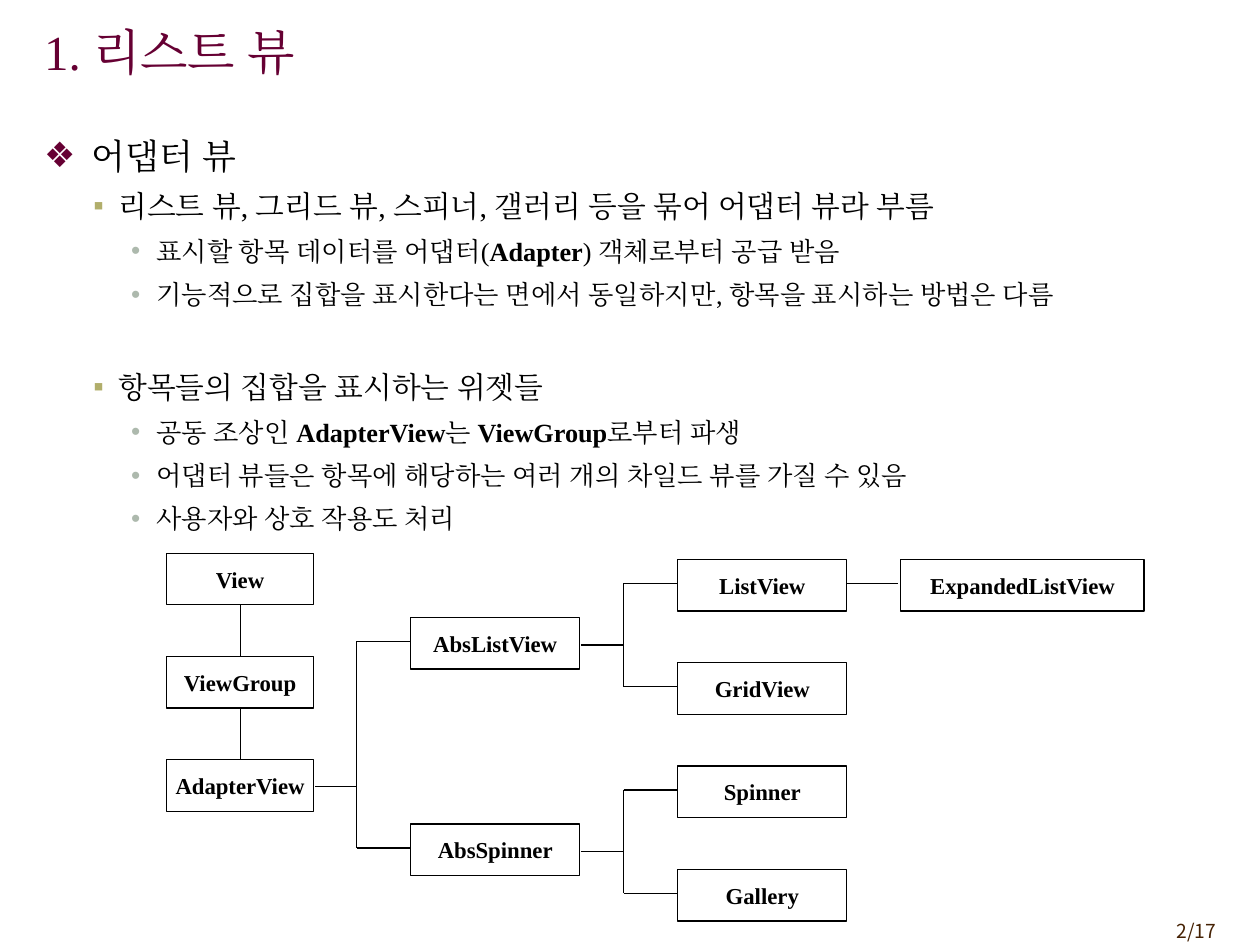
"""Build the list view slide with its adapter view class tree."""
from dataclasses import dataclass

from lxml.etree import SubElement
from pptx import Presentation
from pptx.dml.color import RGBColor
from pptx.enum.shapes import MSO_CONNECTOR, MSO_SHAPE
from pptx.enum.text import MSO_ANCHOR, MSO_AUTO_SIZE, PP_ALIGN
from pptx.oxml.ns import qn
from pptx.util import Inches, Pt

BLACK = RGBColor(0x00, 0x00, 0x00)
WHITE = RGBColor(0xFF, 0xFF, 0xFF)
WINE = RGBColor(0x66, 0x00, 0x33)
OLIVE = RGBColor(0xB1, 0xAE, 0x6B)
SAGE = RGBColor(0xAD, 0xB9, 0xAD)
BROWN = RGBColor(0x45, 0x21, 0x03)
SERIF = "Times New Roman"
SANS = "Noto Sans CJK KR"
ROW_PITCH = 0.82
BOX_HEIGHT = 0.41


@dataclass(frozen=True)
class Level:
    bullet: str
    color: RGBColor
    size: int
    margin: float
    hanging: float
    before: float
    after: float
    spacing: float


@dataclass(frozen=True)
class Item:
    level: int
    spans: tuple[str, ...]
    gap: float = 0


@dataclass(frozen=True)
class Column:
    left: float
    top: float
    width: float
    pitch: float
    names: tuple[str, ...]


@dataclass(frozen=True)
class Fork:
    left: float
    middle: float
    spine: float
    right: float
    top: float
    bottom: float


LEVELS = (
    Level("❖", WINE, 20, 0.38, 0.38, 0, 0, 1.0),
    Level("▪", OLIVE, 17, 0.59, 0.2, 4.2, 3, 1.1),
    Level("•", SAGE, 15, 0.89, 0.2, 3.7, 3, 1.0),
)
ITEMS = (
    Item(0, ("어댑터 뷰",)),
    Item(1, ("리스트 뷰, 그리드 뷰, 스피너, 갤러리 등을 묶어 어댑터 뷰라 부름",)),
    Item(2, ("표시할 항목 데이터를 어댑터(", "Adapter", ") 객체로부터 공급 받음")),
    Item(2, ("기능적으로 집합을 표시한다는 면에서 동일하지만, 항목을 표시하는 방법은 다름",)),
    Item(1, ("항목들의 집합을 표시하는 위젯들",), gap=24.3),
    Item(2, ("공동 조상인 ", "AdapterView", "는 ", "ViewGroup", "로부터 파생")),
    Item(2, ("어댑터 뷰들은 항목에 해당하는 여러 개의 차일드 뷰를 가질 수 있음",)),
    Item(2, ("사용자와 상호 작용도 처리",)),
)
COLUMNS = (
    Column(1.32, 4.39, 1.17, ROW_PITCH, ("View", "ViewGroup", "AdapterView")),
    Column(3.26, 4.9, 1.34, 2 * ROW_PITCH, ("AbsListView", "AbsSpinner")),
    Column(5.38, 4.44, 1.34, ROW_PITCH, ("ListView", "GridView", "Spinner", "Gallery")),
    Column(7.15, 4.44, 1.93, ROW_PITCH, ("ExpandedListView",)),
)
FORKS = (
    Fork(2.5, 6.24, 2.83, 3.25, 5.09, 6.73),
    Fork(4.61, 5.12, 4.95, 5.37, 4.63, 5.45),
    Fork(4.61, 6.76, 4.95, 5.37, 6.27, 7.09),
)


def add_span(para, text: str, *, size: float, color: RGBColor = BLACK,
             font: str = SERIF, bold: bool = False) -> None:
    span = para.add_run()
    span.text = text
    span.font.size = Pt(size)
    span.font.bold = bold
    span.font.color.rgb = color
    span.font.name = font
    SubElement(span.font._element, qn("a:ea")).set("typeface", font)


def place(shape, left: float, top: float, width: float, height: float) -> None:
    shape.left, shape.top = Inches(left), Inches(top)
    shape.width, shape.height = Inches(width), Inches(height)


def add_item(para, item: Item) -> None:
    level = LEVELS[item.level]
    para.level = item.level
    properties = para._p.get_or_add_pPr()
    properties.set("marL", str(Inches(level.margin)))
    properties.set("indent", str(-Inches(level.hanging)))
    bullet_color = SubElement(properties, qn("a:buClr"))
    SubElement(bullet_color, qn("a:srgbClr")).set("val", str(level.color))
    SubElement(properties, qn("a:buChar")).set("char", level.bullet)
    para.line_spacing = level.spacing
    para.space_before = Pt(level.before + item.gap)
    para.space_after = Pt(level.after)
    for position, text in enumerate(item.spans):
        add_span(para, text, size=level.size, bold=position % 2 == 1)


def add_box(slide, name: str, left: float, top: float, width: float) -> None:
    box = slide.shapes.add_shape(MSO_SHAPE.RECTANGLE, Inches(left), Inches(top),
                                 Inches(width), Inches(BOX_HEIGHT))
    box.shadow.inherit = False
    box.fill.solid()
    box.fill.fore_color.rgb = WHITE
    box.line.color.rgb = BLACK
    box.line.width = Pt(0.75)
    frame = box.text_frame
    frame.word_wrap = False
    frame.vertical_anchor = MSO_ANCHOR.MIDDLE
    frame.paragraphs[0].alignment = PP_ALIGN.CENTER
    add_span(frame.paragraphs[0], name, size=13, bold=True)


def add_line(slide, x1: float, y1: float, x2: float, y2: float) -> None:
    line = slide.shapes.add_connector(MSO_CONNECTOR.STRAIGHT, Inches(x1), Inches(y1),
                                      Inches(x2), Inches(y2))
    line.line.color.rgb = BLACK
    line.line.width = Pt(0.75)
    SubElement(line._element.spPr, qn("a:effectLst"))


def add_fork(slide, fork: Fork) -> None:
    add_line(slide, fork.left, fork.middle, fork.spine, fork.middle)
    add_line(slide, fork.spine, fork.top, fork.spine, fork.bottom)
    for y in (fork.top, fork.bottom):
        add_line(slide, fork.spine, y, fork.right, y)


def add_class_tree(slide) -> None:
    for column in COLUMNS:
        for row, name in enumerate(column.names):
            add_box(slide, name, column.left, column.top + row * column.pitch, column.width)
    for fork in FORKS:
        add_fork(slide, fork)
    trunk = COLUMNS[0]
    for row in range(len(trunk.names) - 1):
        top = trunk.top + row * trunk.pitch
        add_line(slide, 1.91, top + BOX_HEIGHT, 1.91, top + trunk.pitch)
    add_line(slide, 6.72, 4.63, 7.13, 4.63)


def main() -> None:
    deck = Presentation()
    deck.slide_width, deck.slide_height = Inches(10), Inches(7.5)
    slide = deck.slides.add_slide(deck.slide_layouts[1])

    title = slide.shapes.title
    place(title, 0.25, 0.09, 8.27, 0.63)
    title.text_frame.auto_size = MSO_AUTO_SIZE.NONE
    title.text_frame.vertical_anchor = MSO_ANCHOR.MIDDLE
    heading = title.text_frame.paragraphs[0]
    heading.alignment = PP_ALIGN.LEFT
    add_span(heading, "1. 리스트 뷰", size=28, color=WINE)

    body = slide.placeholders[1]
    place(body, 0.25, 1.02, 9.5, 3.31)
    frame = body.text_frame
    frame.auto_size = MSO_AUTO_SIZE.NONE
    for position, item in enumerate(ITEMS):
        add_item(frame.add_paragraph() if position else frame.paragraphs[0], item)

    add_class_tree(slide)

    page = slide.shapes.add_textbox(Inches(8.92), Inches(7.25), Inches(0.83), Inches(0.29))
    page.text_frame.word_wrap = True
    page.text_frame.paragraphs[0].alignment = PP_ALIGN.RIGHT
    add_span(page.text_frame.paragraphs[0], "2/17", size=11, color=BROWN, font=SANS)
    deck.save("out.pptx")


if __name__ == "__main__":
    main()
